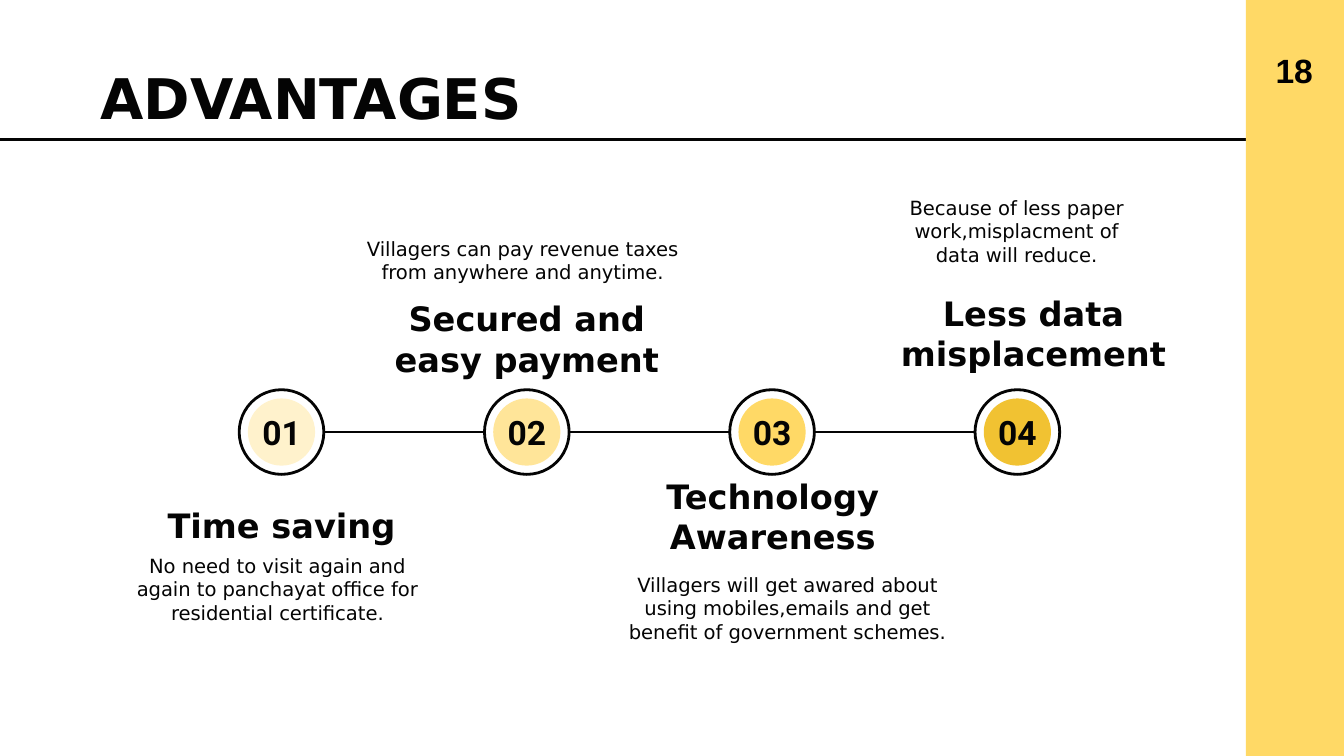
from dataclasses import dataclass
from itertools import pairwise

from lxml.etree import SubElement
from pptx import Presentation
from pptx.dml.color import RGBColor
from pptx.enum.shapes import MSO_CONNECTOR as CONNECTOR, MSO_SHAPE as SHAPE
from pptx.enum.text import MSO_ANCHOR as ANCHOR, PP_ALIGN as ALIGN
from pptx.oxml.ns import qn
from pptx.util import Pt

PX = 4572  # 200 px to the inch


@dataclass(frozen=True)
class Theme:
    ink: str = "040404"
    page_ink: str = "000000"
    accent: str = "FFD966"
    steps: tuple = ("FFF2CC", "FFE599", "FFD966", "F1C232")
    body_font: str = "DejaVu Sans"
    number_font: str = "Roboto"
    page_font: str = "Arial"
    title_size: float = 30
    heading_size: float = 18
    detail_size: float = 10.5
    stroke: float = 1.5


THEME = Theme()

# Number, heading, heading box, detail, detail box, above the line or not;
# boxes are relative to the timeline
MILESTONES = [
    ("01", "Time saving", (12, 452, 454, 126),
     "No need to visit again and again to panchayat office for residential certificate.",
     (0, 550, 466, 192), False),
    ("02", "Secured and easy payment", (336, 170, 536, 138),
     "Villagers can pay revenue taxes from anywhere and anytime.",
     (318, 0, 560, 188), True),
    ("03", "Technology Awareness", (700, 468, 540, 126),
     "Villagers will get awared about using mobiles,emails and get benefit of government schemes.",
     (714, 578, 556, 164), False),
    ("04", "Less data misplacement", (1130, 162, 456, 126),
     "Because of less paper work,misplacment of data will reduce.",
     (1130, 18, 406, 144), True),
]


def emu(*lengths):
    return [length * PX for length in lengths]


def inside(outer, box):
    """Move a box given relative to an outer box onto the slide."""
    return outer[0] + box[0], outer[1] + box[1], box[2], box[3]


def add_text(slide, box, text, *, size=THEME.heading_size, font=THEME.body_font,
             color=THEME.ink, bold=False, align=ALIGN.CENTER, anchor=ANCHOR.TOP):
    frame = slide.shapes.add_textbox(*emu(*box)).text_frame
    frame.word_wrap = True
    frame.vertical_anchor = anchor
    frame.margin_left = frame.margin_right = 20 * PX
    frame.margin_top = frame.margin_bottom = 20 * PX
    paragraph = frame.paragraphs[0]
    paragraph.alignment = align
    run = paragraph.add_run()
    run.text = text
    run.font.name, run.font.size, run.font.bold = font, Pt(size), bold
    run.font.color.rgb = RGBColor.from_string(color)


def add_shape(slide, kind, box, fill=None, line=None):
    shape = slide.shapes.add_shape(kind, *emu(*box))
    shape.shadow.inherit = False
    if fill:
        shape.fill.solid()
        shape.fill.fore_color.rgb = RGBColor.from_string(fill)
    else:
        shape.fill.background()
    if line:
        shape.line.color.rgb = RGBColor.from_string(line)
        shape.line.width = Pt(THEME.stroke)
    else:
        shape.line.fill.background()


def add_rule(slide, start, end, y):
    rule = slide.shapes.add_connector(CONNECTOR.STRAIGHT, *emu(start, y, end, y))
    rule.line.color.rgb = RGBColor.from_string(THEME.ink)
    rule.line.width = Pt(THEME.stroke)
    SubElement(rule._element.spPr, qn("a:effectLst"))


def add_header(slide, box, title):
    left, top, width, _ = box
    add_rule(slide, left, left + width, top + 208)
    add_text(slide, inside(box, (130, 74, 684, 148)), title,
             size=THEME.title_size, bold=True, align=ALIGN.LEFT)


def add_timeline(slide, box):
    ring, gap, pitch = 126, 13, 365
    ring_top = 326
    ring_lefts = [176 + pitch * step for step in range(len(MILESTONES))]

    # Links between neighbouring rings
    for before, after in pairwise(ring_lefts):
        add_rule(slide, box[0] + before + ring, box[0] + after,
                 box[1] + ring_top + ring // 2)

    for ring_left, color, milestone in zip(ring_lefts, THEME.steps, MILESTONES):
        number, heading, heading_box, detail, detail_box, above = milestone
        # Numbered ring
        ring_box = inside(box, (ring_left, ring_top, ring, ring))
        disc = ring - 2 * gap
        add_shape(slide, SHAPE.OVAL, ring_box, line=THEME.ink)
        add_shape(slide, SHAPE.OVAL, inside(ring_box, (gap, gap, disc, disc)), fill=color)
        add_text(slide, inside(ring_box, (-15, 0, ring + 30, ring)), number,
                 font=THEME.number_font, bold=True, anchor=ANCHOR.MIDDLE)
        # Heading and detail
        add_text(slide, inside(box, heading_box), heading, bold=True,
                 anchor=ANCHOR.TOP if above else ANCHOR.BOTTOM)
        add_text(slide, inside(box, detail_box), detail, size=THEME.detail_size,
                 anchor=ANCHOR.BOTTOM if above else ANCHOR.TOP)


def add_sidebar(slide, box, page):
    add_shape(slide, SHAPE.RECTANGLE, box, fill=THEME.accent)
    add_text(slide, inside(box, (18, 62, 108, 86)), page, font=THEME.page_font,
             color=THEME.page_ink, bold=True, anchor=ANCHOR.MIDDLE)


def main():
    deck = Presentation()
    deck.slide_width, deck.slide_height = emu(2000, 1125)
    slide = deck.slides.add_slide(deck.slide_layouts[6])
    add_header(slide, (0, 0, 2000, 222), "ADVANTAGES")
    add_timeline(slide, (180, 254, 1586, 742))
    add_sidebar(slide, (1854, 0, 146, 1125), "18")
    deck.save("out.pptx")


if __name__ == "__main__":
    main()
